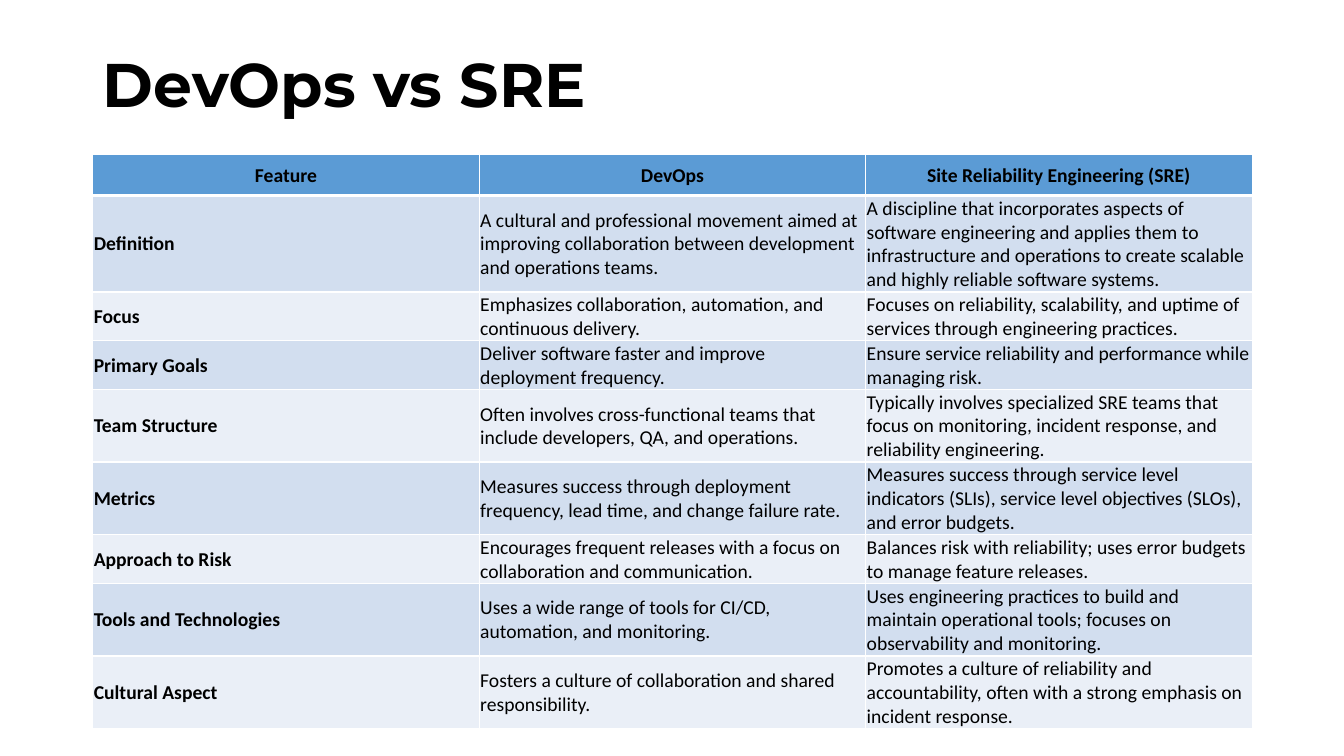
import pptx
import pptx.enum.text
import pptx.oxml
import pptx.oxml.ns
import pptx.util
from pptx.dml.color import RGBColor
from pptx.util import Inches

COLORS = {
    "text": "000000",
    "border": "FFFFFF",
    "header": "5B9BD5",
    "band_dark": "D2DEEF",
    "band_light": "EAEFF7",
}

COMPARISON = [
    ("Feature", "DevOps", "Site Reliability Engineering (SRE)"),
    ("Definition",
     "A cultural and professional movement aimed at improving collaboration "
     "between development and operations teams.",
     "A discipline that incorporates aspects of software engineering and applies them to "
     "infrastructure and operations to create scalable and highly reliable software systems."),
    ("Focus",
     "Emphasizes collaboration, automation, and continuous delivery.",
     "Focuses on reliability, scalability, and uptime of services through "
     "engineering practices."),
    ("Primary Goals",
     "Deliver software faster and improve deployment frequency.",
     "Ensure service reliability and performance while managing risk."),
    ("Team Structure",
     "Often involves cross-functional teams that include developers, QA, and operations.",
     "Typically involves specialized SRE teams that focus on monitoring, "
     "incident response, and reliability engineering."),
    ("Metrics",
     "Measures success through deployment frequency, lead time, and change failure rate.",
     "Measures success through service level indicators (SLIs), "
     "service level objectives (SLOs), and error budgets."),
    ("Approach to Risk",
     "Encourages frequent releases with a focus on collaboration and communication.",
     "Balances risk with reliability; uses error budgets to manage feature releases."),
    ("Tools and Technologies",
     "Uses a wide range of tools for CI/CD, automation, and monitoring.",
     "Uses engineering practices to build and maintain operational tools; "
     "focuses on observability and monitoring."),
    ("Cultural Aspect",
     "Fosters a culture of collaboration and shared responsibility.",
     "Promotes a culture of reliability and accountability, "
     "often with a strong emphasis on incident response."),
]


def write_text(text_frame, text, *, size, font="Calibri", bold=False,
               align=pptx.enum.text.PP_ALIGN.LEFT, line_spacing=None):
    paragraph = text_frame.paragraphs[0]
    paragraph.alignment = align
    paragraph.line_spacing = line_spacing
    run = paragraph.add_run()
    run.text = text
    run.font.name = font
    run.font.size = pptx.util.Pt(size)
    run.font.bold = bold
    run.font.color.rgb = RGBColor.from_string(COLORS["text"])


def set_borders(cell, *, top=1, bottom=1):
    """Draw all four cell borders; widths are in points."""
    properties = cell._tc.get_or_add_tcPr()
    widths = {"lnL": 1, "lnR": 1, "lnT": top, "lnB": bottom}
    for position, (tag, width) in enumerate(widths.items()):
        line = pptx.oxml.parse_xml(
            f'<a:{tag} {pptx.oxml.ns.nsdecls("a")} w="{pptx.util.Pt(width)}">'
            f'<a:solidFill><a:srgbClr val="{COLORS["border"]}"/></a:solidFill></a:{tag}>')
        properties.insert(position, line)


def add_title(slide, text, left, top, width, height):
    title = slide.shapes.title
    title.left, title.top, title.width, title.height = left, top, width, height
    title.text_frame.word_wrap = True
    title.text_frame.vertical_anchor = pptx.enum.text.MSO_ANCHOR.MIDDLE
    write_text(title.text_frame, text, size=44, font="Montserrat", bold=True,
               line_spacing=0.9)


def add_comparison_table(slide, rows, left, top, width, row_height):
    column_count = len(rows[0])
    table = slide.shapes.add_table(len(rows), column_count, left, top, width,
                                   row_height * len(rows)).table
    for column in table.columns:
        column.width = width // column_count

    for row_index, row in enumerate(rows):
        is_header = row_index == 0
        band = "header" if is_header else "band_dark" if row_index % 2 else "band_light"
        for column_index, text in enumerate(row):
            cell = table.cell(row_index, column_index)
            cell.fill.solid()
            cell.fill.fore_color.rgb = RGBColor.from_string(COLORS[band])
            cell.vertical_anchor = pptx.enum.text.MSO_ANCHOR.MIDDLE
            cell.margin_left = cell.margin_top = cell.margin_right = Inches(0.01)
            cell.margin_bottom = 0
            # The rule under the header is heavier than the others
            set_borders(cell, top=3 if row_index == 1 else 1, bottom=3 if is_header else 1)
            align = pptx.enum.text.PP_ALIGN.CENTER if is_header else pptx.enum.text.PP_ALIGN.LEFT
            write_text(cell.text_frame, text, size=14, align=align,
                       bold=is_header or column_index == 0)


def main():
    presentation = pptx.Presentation()
    presentation.slide_width = Inches(13.33)
    presentation.slide_height = Inches(7.5)
    slide = presentation.slides.add_slide(presentation.slide_layouts[5])

    left, width = Inches(0.92), Inches(11.5)
    add_title(slide, "DevOps vs SRE", left, Inches(0.4), width, Inches(0.93))
    add_comparison_table(slide, COMPARISON, left, Inches(1.53), width, Inches(0.41))

    presentation.save("out.pptx")


if __name__ == "__main__":
    main()
